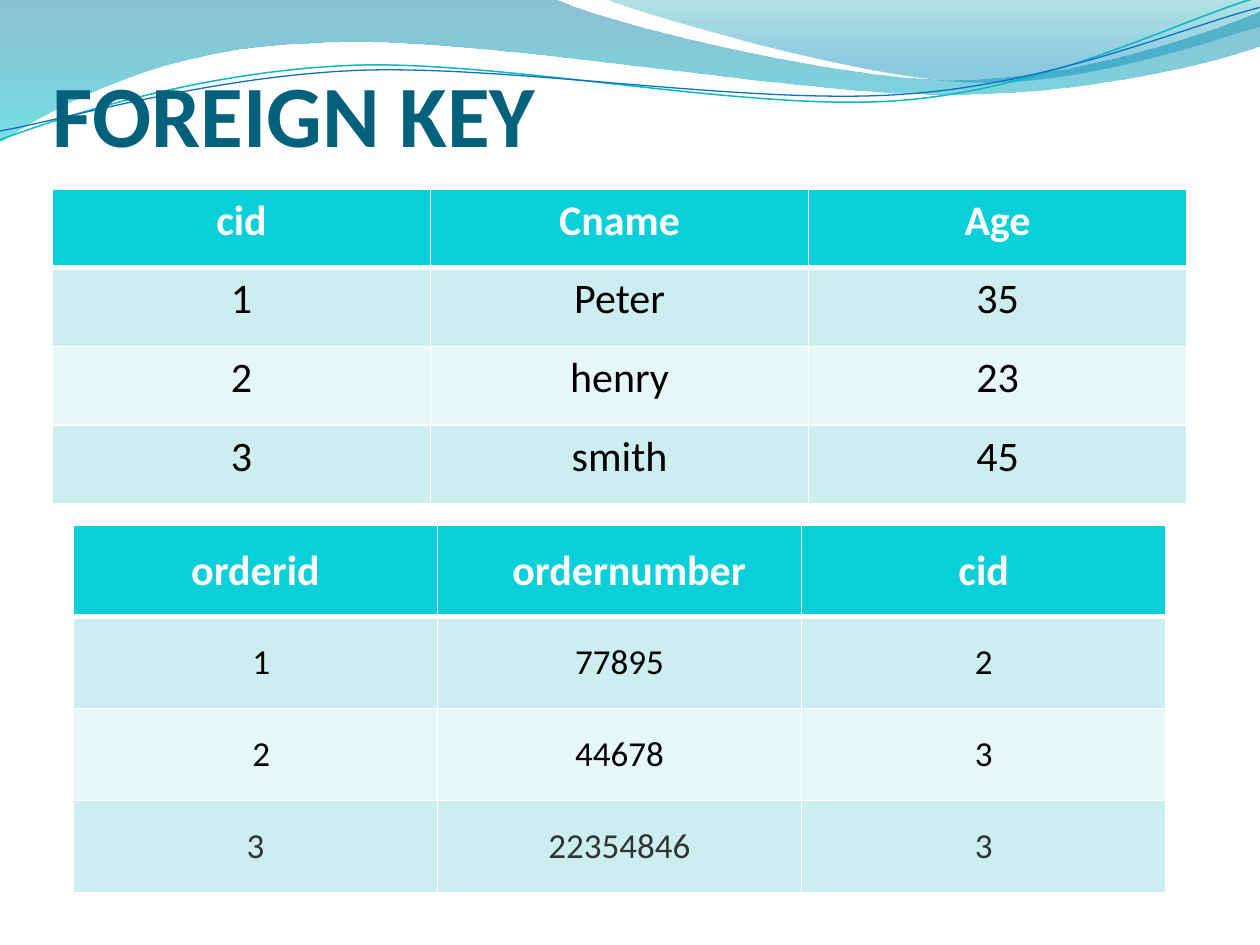
from lxml import etree
from pptx import Presentation
from pptx.dml.color import RGBColor
from pptx.enum.text import MSO_ANCHOR, PP_ALIGN
from pptx.oxml import parse_xml
from pptx.oxml.ns import nsdecls, qn
from pptx.util import Cm, Pt

FONT = "Calibri"
HEADER_FILL, BAND_FILLS = "0BD0D9", ("CCEEF1", "E7F7F8")

# Wave outlines in cm: a single point is a straight line, three are a curve.
BACK_WAVE = [
    [(0, 0)], [(11.18, -0.03)],
    [(12.09, 0.43), (16.87, 1.6), (19.25, 1.6)],
    [(21.67, 1.6), (24.33, 0.66), (25.4, 0.23)],
    [(25.43, 0.91)],
    [(24.97, 1.12), (22.1, 1.93), (18.95, 1.9)],
    [(15.8, 1.9), (9.7, 0.71), (6.53, 0.86)],
    [(3.28, 0.91), (1.17, 2.11), (-0.03, 2.87)],
    [(0, 0)],
]
FRONT_WAVE = [
    [(12.17, -0.03)],
    [(12.93, 0.28), (17.32, 1.57), (19.53, 1.65)],
    [(21.74, 1.75), (24.41, 0.81), (25.4, 0.53)],
    [(25.4, 0)], [(12.17, -0.03)],
]
TEAL_LINE = [
    [(0, 2.82)],
    [(1.22, 2.36), (4.01, 1.45), (7.04, 1.32)],
    [(10.03, 1.19), (15.06, 2.26), (18.11, 2.03)],
    [(21.16, 1.8), (23.83, 0.38), (25.35, -0.05)],
]
BLUE_LINE = [
    [(0, 2.64)],
    [(1.19, 2.44), (4.17, 1.55), (7.19, 1.42)],
    [(10.24, 1.3), (15.16, 2.13), (18.21, 1.9)],
    [(21.23, 1.7), (23.9, 0.53), (25.4, 0.15)],
]


def rgb(color):
    return RGBColor.from_string(color)


def add_outline(s, left, top, segments, close):
    """Add a freeform through the segment ends, then bend its curved segments."""
    segments = [[(Cm(left + x), Cm(top + y)) for x, y in segment] for segment in segments]
    ends = [segment[-1] for segment in segments]
    builder = s.shapes.build_freeform(*ends[0])
    builder.add_line_segments(ends[1:], close=close)
    sp = builder.convert_to_shape()
    sp.shadow.inherit = False
    lines = list(sp._element.iter(qn("a:lnTo")))
    for segment, line in zip(segments[1:], lines):
        if len(segment) == 3:
            curve = etree.Element(qn("a:cubicBezTo"))
            for x, y in segment:
                etree.SubElement(curve, qn("a:pt"), x=str(x - sp.left), y=str(y - sp.top))
            line.getparent().replace(line, curve)
    return sp


def add_wave(s, left, top, segments, stops):
    """Add a filled wave; stops are (position %, colour, opacity %)."""
    sp = add_outline(s, left, top, segments, True)
    sp.line.fill.background()
    gs = "".join(
        f'<a:gs pos="{pos * 1000}"><a:srgbClr val="{color}">'
        f'<a:alpha val="{opacity * 1000}"/></a:srgbClr></a:gs>'
        for pos, color, opacity in stops)
    sp.fill.background()
    spPr = sp._element.spPr
    spPr.replace(spPr.find(qn("a:noFill")), parse_xml(
        f'<a:gradFill {nsdecls("a")} rotWithShape="1"><a:gsLst>{gs}</a:gsLst>'
        '<a:lin ang="5400000" scaled="0"/></a:gradFill>'))


def add_wave_line(s, left, top, segments, color, width):
    sp = add_outline(s, left, top, segments, False)
    sp.fill.background()
    sp.line.color.rgb = rgb(color)
    sp.line.width = Pt(width)


def add_wave_band(s, left, top):
    add_wave(s, left, top, BACK_WAVE, [(0, "0074A1", 45), (100, "00C6CF", 55)])
    add_wave(s, left, top, FRONT_WAVE, [(0, "00A1A9", 30), (80, "008BBF", 45)])
    add_wave_line(s, left, top, TEAL_LINE, "0AB8BF", 0.85)
    add_wave_line(s, left, top, BLUE_LINE, "0F6FC6", 0.75)


def format_run(r, size, color, bold):
    r.font.name = FONT
    r.font.size = Pt(size)
    r.font.bold = bold
    r.font.color.rgb = rgb(color)


def place_title(s, left, top, width, height, text):
    title = s.shapes.title
    title.left, title.top, title.width, title.height = map(Cm, (left, top, width, height))
    s.shapes._spTree.append(title._element)  # in front of the waves
    tf = title.text_frame
    tf.text = text
    tf.vertical_anchor = MSO_ANCHOR.BOTTOM
    tf.margin_left = tf.margin_right = tf.margin_bottom = 0
    p = tf.paragraphs[0]
    p.alignment = PP_ALIGN.LEFT
    format_run(p.runs[0], 50, "04617B", True)


def set_borders(cell, bottom):
    """Draw white borders, 1 pt wide except for the bottom one."""
    tcPr = cell._tc.get_or_add_tcPr()
    for i, (side, width) in enumerate(zip("LRTB", (1, 1, 1, bottom))):
        tcPr.insert(i, parse_xml(
            f'<a:ln{side} {nsdecls("a")} w="{Pt(width)}"><a:solidFill>'
            f'<a:srgbClr val="FFFFFF"/></a:solidFill></a:ln{side}>'))


def add_data_table(s, left, top, width, height, rows, size, anchor):
    """Add a table with a coloured header and banded rows, and return it."""
    table = s.shapes.add_table(len(rows), len(rows[0]),
                               *map(Cm, (left, top, width, height))).table
    for i, row in enumerate(rows):
        header = i == 0
        for j, value in enumerate(row):
            cell = table.cell(i, j)
            cell.fill.solid()
            cell.fill.fore_color.rgb = rgb(HEADER_FILL if header else BAND_FILLS[(i - 1) % 2])
            set_borders(cell, 3 if header else 1)
            if i == 1:
                cell._tc.tcPr.find(qn("a:lnT")).set("w", str(Pt(3)))
            cell.vertical_anchor = anchor
            cell.text = value
            p = cell.text_frame.paragraphs[0]
            p.alignment = PP_ALIGN.CENTER
            format_run(p.runs[0], 24 if header else size,
                       "FFFFFF" if header else "000000", header)
    return table


def add_customers(s, left, top, width, height):
    rows = [("cid", "Cname", "Age"), ("1", "Peter", "35"),
            ("2", "henry", "23"), ("3", "smith", "45")]
    add_data_table(s, left, top, width, height, rows, 24, MSO_ANCHOR.TOP)


def add_orders(s, left, top, width, height):
    rows = [("orderid", "ordernumber", "cid"), ("1", "77895", "2"),
            ("2", "44678", "3"), ("3", "22354846", "3")]
    table = add_data_table(s, left, top, width, height, rows, 20, MSO_ANCHOR.MIDDLE)
    for i in range(1, len(rows)):
        for j in range(len(rows[0])):
            cell = table.cell(i, j)
            cell.margin_left = cell.margin_right = Cm(0.2)
            cell.margin_top = cell.margin_bottom = Cm(0.2)
            if i == len(rows) - 1:
                cell.text_frame.paragraphs[0].runs[0].font.color.rgb = rgb("333333")
    table.cell(0, 1).margin_left = Cm(0.64)
    for i in (1, 2):
        table.cell(i, 0).margin_left = Cm(0.43)


def main():
    prs = Presentation()
    prs.slide_width, prs.slide_height = Cm(25.4), Cm(19.05)
    s = prs.slides.add_slide(prs.slide_layouts[5])
    add_wave_band(s, 0, 0)
    place_title(s, 1.06, 1.06, 22.86, 2.27, "FOREIGN KEY")
    add_customers(s, 1.06, 3.81, 22.86, 6.35)
    add_orders(s, 1.48, 10.58, 22.02, 7.41)
    prs.save("out.pptx")


if __name__ == "__main__":
    main()
